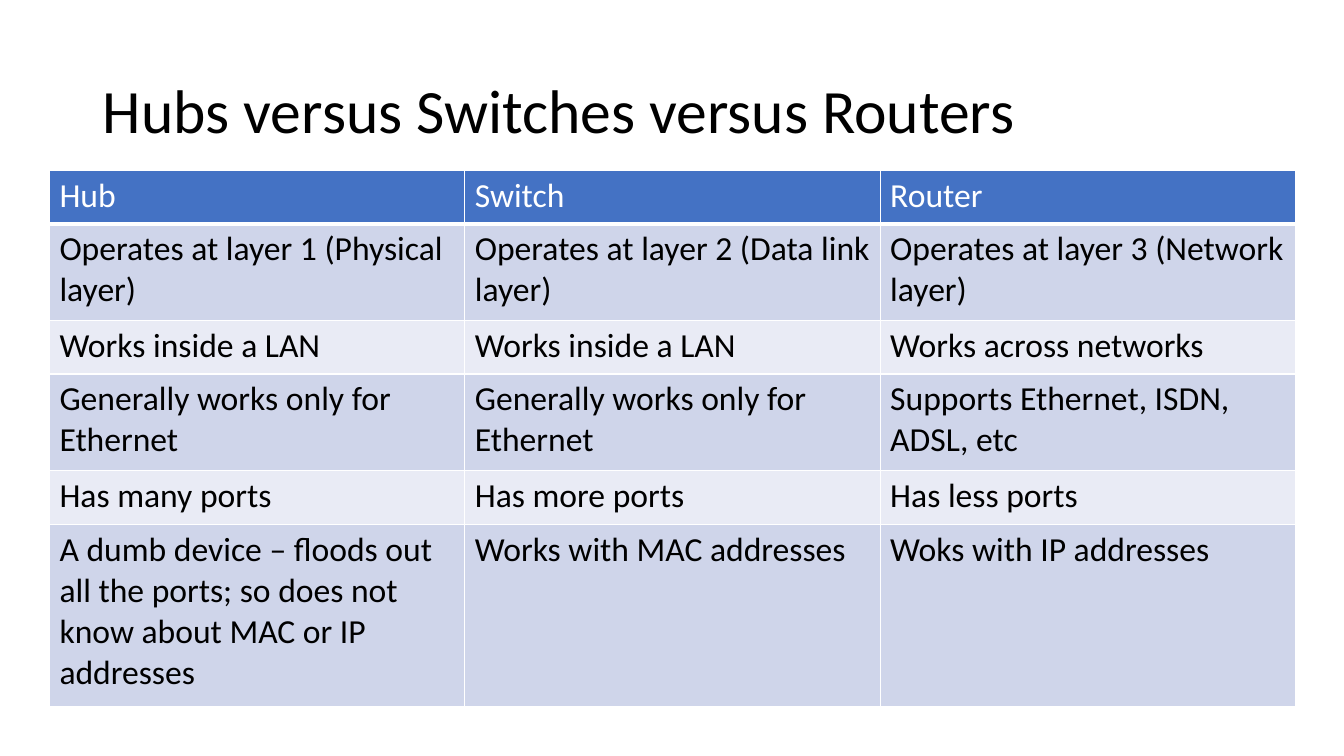
from dataclasses import dataclass

from lxml.etree import SubElement
from pptx import Presentation
from pptx.dml.color import RGBColor
from pptx.enum.text import MSO_ANCHOR as Anchor, MSO_AUTO_SIZE as Fit, PP_ALIGN as Align
from pptx.oxml.ns import qn
from pptx.util import Emu, Pt

SCALE = 9144  # EMU in one px, 100 px to the inch
WHITE, BLACK, BLUE = "FFFFFF", "000000", "4472C4"
BANDS = ("CFD5EA", "E9EBF5")


@dataclass
class Row:
    high: int
    texts: tuple[str, str, str]


ROWS = [
    Row(53, ("Hub", "Switch", "Router")),
    Row(96, ("Operates at layer 1 (Physical layer)",
             "Operates at layer 2 (Data link layer)",
             "Operates at layer 3 (Network layer)")),
    Row(53, ("Works inside a LAN", "Works inside a LAN", "Works across networks")),
    Row(96, ("Generally works only for Ethernet",
             "Generally works only for Ethernet",
             "Supports Ethernet, ISDN, ADSL, etc")),
    Row(53, ("Has many ports", "Has more ports", "Has less ports")),
    Row(181, ("A dumb device – floods out all the ports; "
              "so does not know about MAC or IP addresses",
              "Works with MAC addresses", "Woks with IP addresses")),
]


def px(size: int) -> Emu:
    return Emu(size * SCALE)


def color(code: str) -> RGBColor:
    return RGBColor.from_string(code)


def write(frame, text: str, *, size: int, ink: str = BLACK, space: float = 1.0) -> None:
    frame.word_wrap = True
    para = frame.paragraphs[0]
    para.alignment = Align.LEFT
    para.line_spacing = space
    run = para.add_run()
    run.text = text
    font = run.font
    font.name, font.size, font.bold = "Calibri", Pt(size), False
    font.color.rgb = color(ink)


def border(cell, base: int) -> None:
    props = cell._tc.get_or_add_tcPr()
    for side, width in (("L", 1), ("R", 1), ("T", 1), ("B", base)):
        line = SubElement(props, qn(f"a:ln{side}"), w=str(Pt(width)))
        fill = SubElement(line, qn("a:solidFill"))
        SubElement(fill, qn("a:srgbClr"), val=WHITE)


def head(slide, text: str) -> None:
    title = slide.shapes.title
    title.left, title.top = px(92), px(40)
    title.width, title.height = px(1150), px(145)
    frame = title.text_frame
    frame.auto_size = Fit.NONE
    frame.vertical_anchor = Anchor.MIDDLE
    write(frame, text, size=44, space=0.9)


def grid(slide, rows: list[Row], left: int, top: int, wide: int) -> None:
    count = len(rows[0].texts)
    high = sum(row.high for row in rows)
    table = slide.shapes.add_table(
        len(rows), count, px(left), px(top), px(wide * count), px(high)).table
    table.first_row = table.horz_banding = False
    for col in table.columns:
        col.width = px(wide)
    for r, row in enumerate(rows):
        table.rows[r].height = px(row.high)
        first = r == 0
        for c, text in enumerate(row.texts):
            cell = table.cell(r, c)
            border(cell, 3 if first else 1)
            cell.fill.solid()
            cell.fill.fore_color.rgb = color(BLUE if first else BANDS[(r - 1) % 2])
            write(cell.text_frame, text, size=24, ink=WHITE if first else BLACK)


def main() -> None:
    deck = Presentation()
    deck.slide_width, deck.slide_height = px(1333), px(750)
    slide = deck.slides.add_slide(deck.slide_layouts[5])  # title only

    # Heading
    head(slide, "Hubs versus Switches versus Routers")

    # Comparison table
    grid(slide, ROWS, left=49, top=169, wide=412)

    deck.save("out.pptx")


if __name__ == "__main__":
    main()
